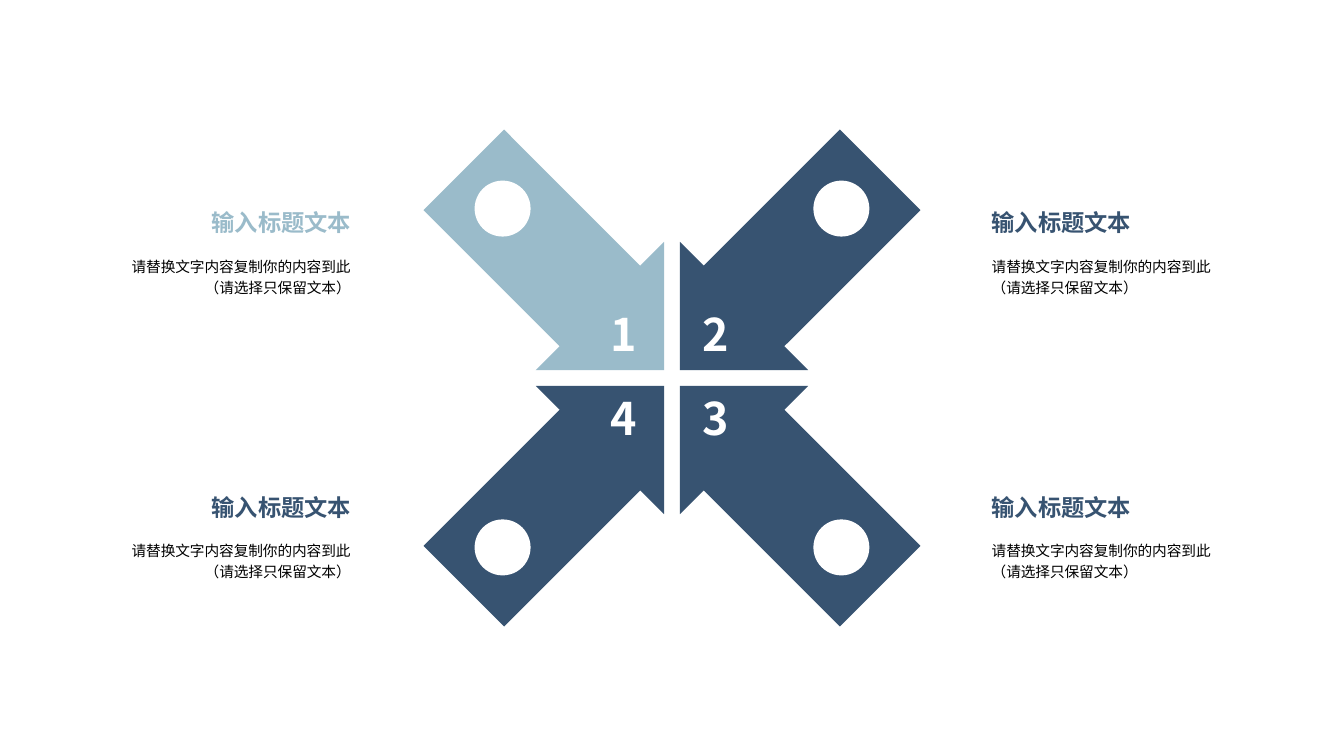
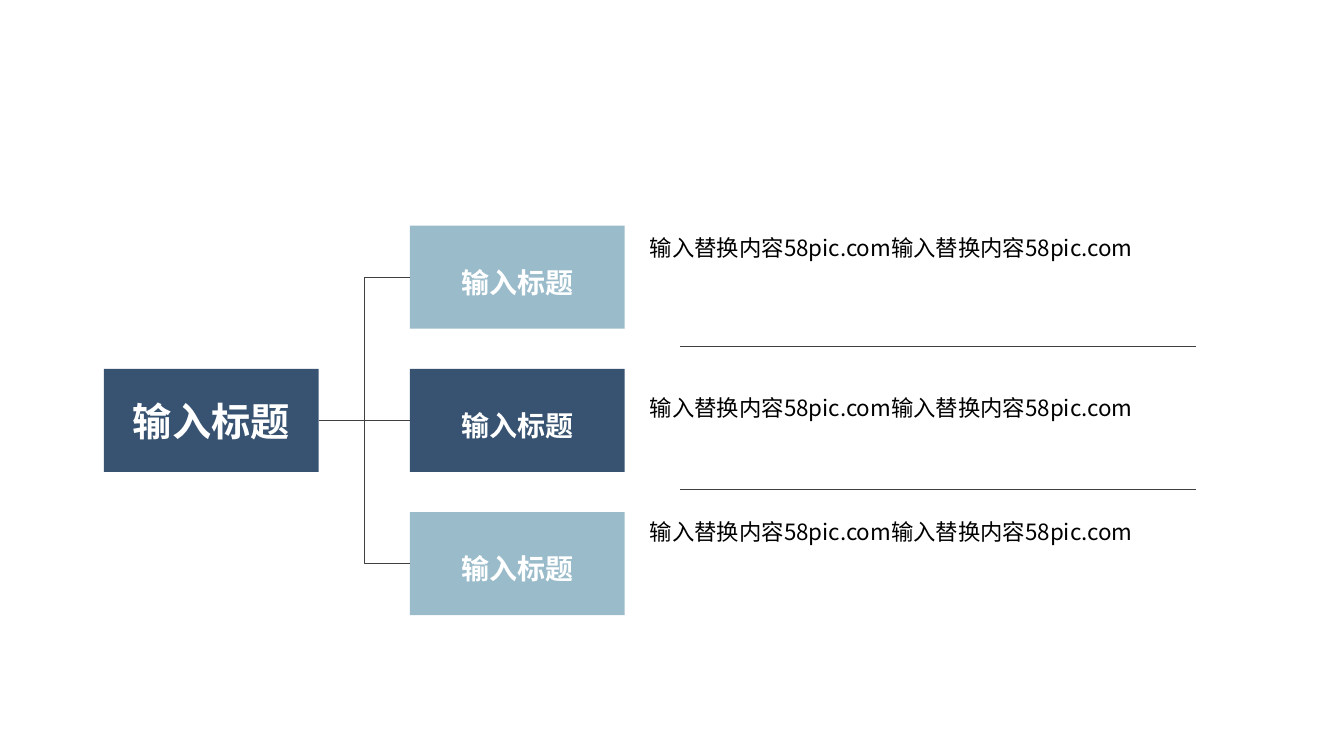
from lxml import etree
from pptx import Presentation
from pptx.dml.color import RGBColor
from pptx.enum import shapes, text
from pptx.oxml.ns import qn
from pptx.util import Pt

WIDTH, HEIGHT = 960, 540
NAVY, SKY, WHITE, BLACK, GREY = "375371", "9ABBCA", "FFFFFF", "000000", "404040"
CJK, LATIN = "Noto Sans CJK SC", "Arial"
LEFT, CENTER, RIGHT = text.PP_ALIGN.LEFT, text.PP_ALIGN.CENTER, text.PP_ALIGN.RIGHT
TOP, MIDDLE = text.MSO_ANCHOR.TOP, text.MSO_ANCHOR.MIDDLE


def rgb(color):
    return RGBColor.from_string(color)


def pts(*lengths):
    return [Pt(v) for v in lengths]


def write(sp, content, size, color, bold=False, font=CJK, align=LEFT, spacing=None,
          anchor=TOP, insets=(7.2, 3.6), wrap=True):
    tf = sp.text_frame
    tf.text = content
    tf.word_wrap = wrap
    tf.vertical_anchor = anchor
    tf.margin_left = tf.margin_right = Pt(insets[0])
    tf.margin_top = tf.margin_bottom = Pt(insets[1])
    p = tf.paragraphs[0]
    p.alignment = align
    if spacing:
        p.line_spacing = spacing
    for r in p.runs:
        r.font.size, r.font.bold, r.font.name = Pt(size), bold, font
        r.font.color.rgb = rgb(color)
        etree.SubElement(r.font._element, qn("a:ea")).set("typeface", CJK)


def add_text(s, box, content, size, color, **style):
    write(s.shapes.add_textbox(*pts(*box)), content, size, color, **style)


def add_filled(s, kind, box, color):
    sp = s.shapes.add_shape(kind, *pts(*box))
    sp.shadow.inherit = False
    sp.fill.solid()
    sp.fill.fore_color.rgb = rgb(color)
    sp.line.fill.background()
    return sp


def add_line(s, kind, x1, y1, x2, y2):
    line = s.shapes.add_connector(kind, *pts(x1, y1, x2, y2))
    line.line.color.rgb = rgb(GREY)
    line.line.width = Pt(0.5)
    etree.SubElement(line._element.spPr, qn("a:effectLst"))
    return line


def add_arrow(s, cx, cy, dx, dy, rotation, color, number):
    """Place one arrow that points to (cx, cy) from the quadrant (dx, dy)."""
    w, h, reach, icon_reach, icon = 129.6, 202.3, 77.2, 121, 40
    arrow = add_filled(s, shapes.MSO_SHAPE.DOWN_ARROW,
                       (cx + dx * reach - w / 2, cy + dy * reach - h / 2, w, h), color)
    arrow.adjustments[0], arrow.adjustments[1] = 0.628, 0.5
    arrow.rotation = rotation
    add_filled(s, shapes.MSO_SHAPE.OVAL,
               (cx + dx * icon_reach - icon / 2, cy + dy * icon_reach - icon / 2, icon, icon),
               WHITE)
    w, h = 32.4, 46
    add_text(s, (cx - 2 + dx * 32.8 - w / 2, cy - 1.4 + dy * 30.2 - h / 2, w, h),
             number, 32, WHITE, bold=True, wrap=False)


def add_caption(s, x, y, align, color):
    w, insets = 193.7, (7.2, 0)
    add_text(s, (x, y, w, 19.4), "输入标题文本", 16.6, color, bold=True,
             align=align, insets=insets)
    add_text(s, (x, y + 24.5, w, 46), "请替换文字内容复制你的内容到此\v（请选择只保留文本）",
             10.5, BLACK, align=align, spacing=1.2, anchor=MIDDLE, insets=insets)


def arrows_slide(s):
    quadrants = [(-1, -1, 315, SKY), (1, -1, 45, NAVY), (1, 1, 135, NAVY), (-1, 1, 225, NAVY)]
    for number, (dx, dy, rotation, color) in enumerate(quadrants, 1):
        add_arrow(s, WIDTH / 2, HEIGHT / 2, dx, dy, rotation, color, str(number))
        x, align = (64, RIGHT) if dx < 0 else (701.3, LEFT)
        add_caption(s, x, 149 if dy < 0 else 352, align, color)


def add_tree(s, x, y):
    """Draw the root box and its three branches from the top left corner (x, y)."""
    w, h, pitch, branch_x = 153.4, 73.6, 102.3, x + 218.6
    root = add_filled(s, shapes.MSO_SHAPE.RECTANGLE, (x, y + pitch, w, h), NAVY)
    write(root, "输入标题", 28, WHITE, bold=True, font=LATIN, align=CENTER, anchor=MIDDLE)
    for i, color in enumerate([SKY, NAVY, SKY]):
        top = y + i * pitch
        branch = add_filled(s, shapes.MSO_SHAPE.RECTANGLE, (branch_x, top, w, h), color)
        write(branch, "输入标题", 20, WHITE, bold=True, font=LATIN, align=CENTER,
              spacing=1.3, anchor=MIDDLE)
        link = add_line(s, shapes.MSO_CONNECTOR.ELBOW,
                        x + w, y + pitch + h / 2, branch_x, top + h / 2)
        link.begin_connect(root, 3)
        link.end_connect(branch, 1)


def add_notes(s, x, y):
    """Write the three notes from (x, y), with a rule between each two."""
    for offset in (0, 114.4, 203):
        add_text(s, (x, y + offset, 414, 28.8), "输入替换内容58pic.com输入替换内容58pic.com",
                 16, BLACK, spacing=1.2)
    for i in range(2):
        rule_y = y + 87.5 + i * 102
        add_line(s, shapes.MSO_CONNECTOR.STRAIGHT, x + 28.8, rule_y, x + 396.8, rule_y)


def tree_slide(s):
    add_tree(s, 74.2, 161.2)
    add_notes(s, 457.2, 160)


def main():
    prs = Presentation()
    prs.slide_width, prs.slide_height = pts(WIDTH, HEIGHT)
    blank = prs.slide_layouts[6]
    for build in (arrows_slide, tree_slide):
        build(prs.slides.add_slide(blank))
    prs.save("out.pptx")


if __name__ == "__main__":
    main()
